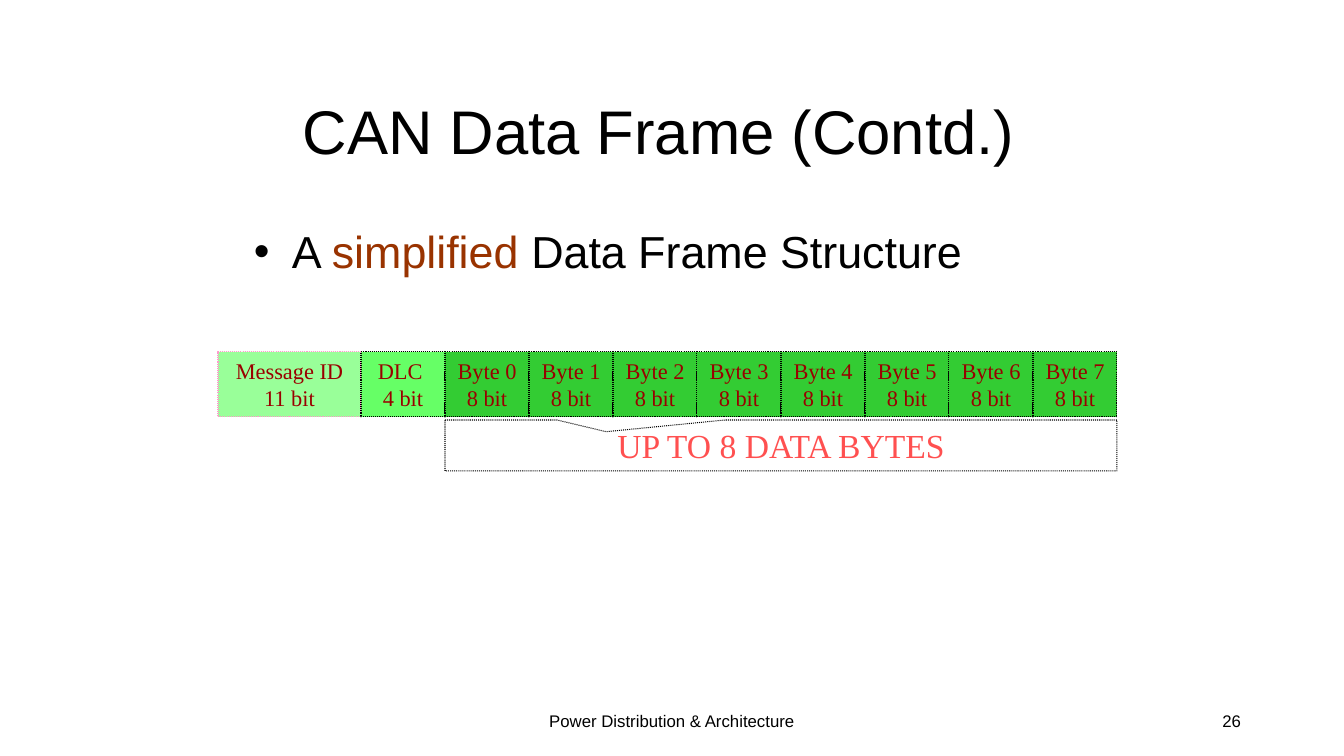
from lxml import etree
from pptx import Presentation
from pptx.dml.color import RGBColor
from pptx.enum.dml import MSO_LINE
from pptx.enum.shapes import MSO_SHAPE
from pptx.enum.text import MSO_ANCHOR, MSO_AUTO_SIZE, PP_ALIGN
from pptx.oxml.ns import qn
from pptx.util import Emu, Pt

BLACK = RGBColor(0x00, 0x00, 0x00)
BROWN = RGBColor(0x99, 0x33, 0x00)
DARK_RED = RGBColor(0x99, 0x00, 0x00)
CORAL = RGBColor(0xFF, 0x50, 0x50)
PINK = RGBColor(0xFF, 0x99, 0xCC)
PALE_GREEN = RGBColor(0x99, 0xFF, 0x99)
LIGHT_GREEN = RGBColor(0x66, 0xFF, 0x66)
GREEN = RGBColor(0x33, 0xCC, 0x33)
SANS, SERIF = "Arial", "Times New Roman"

TITLE = "CAN Data Frame (Contd.)"
BULLET = [("A ", BLACK), ("simplified ", BROWN), ("Data Frame Structure", BLACK)]
FOOTER, PAGE = "Power Distribution & Architecture", "26"
DATA_NOTE = "UP TO 8 DATA BYTES"
BYTE_WIDTH, BYTE_COUNT = 84, 8
# text, width, fill, line
FIELDS = [
    ("Message ID 11 bit", 143, PALE_GREEN, PINK),
    ("DLC \v4 bit", BYTE_WIDTH, LIGHT_GREEN, BLACK),
] + [(f"Byte {n} 8 bit", BYTE_WIDTH, GREEN, BLACK) for n in range(BYTE_COUNT)]

FRAME_LEFT, FRAME_TOP, FIELD_HEIGHT = 218, 352, 65
NOTE_TOP, NOTE_HEIGHT = 420, 51
BULLET_INDENT = 38
EMU_PER_PX = 914400 / 100.8


def px(length):
    return Emu(round(length * EMU_PER_PX))


def style(paragraph, size, font, color, align):
    paragraph.alignment = align
    for run in paragraph.runs:
        run.font.size = Pt(size)
        run.font.name = font
        run.font.color.rgb = color


def add_text(slide, box, text, size, align, anchor=MSO_ANCHOR.MIDDLE):
    frame = slide.shapes.add_textbox(*map(px, box)).text_frame
    frame.word_wrap = True
    frame.vertical_anchor = anchor
    frame.text = text
    style(frame.paragraphs[0], size, SANS, BLACK, align)
    return frame


def add_field(slide, preset, box, text, size, color, fill, line):
    """Add a dotted-outline shape; no fill when fill is None."""
    field = slide.shapes.add_shape(preset, *map(px, box))
    field.shadow.inherit = False
    if fill is None:
        field.fill.background()
    else:
        field.fill.solid()
        field.fill.fore_color.rgb = fill
    field.line.color.rgb = line
    field.line.width = Pt(0.75)
    field.line.dash_style = MSO_LINE.ROUND_DOT
    frame = field.text_frame
    frame.word_wrap = True
    frame.vertical_anchor = MSO_ANCHOR.TOP
    frame.text = text
    style(frame.paragraphs[0], size, SERIF, color, PP_ALIGN.CENTER)
    return field


def add_bullet(slide, box):
    frame = add_text(slide, box, "", 32, PP_ALIGN.LEFT, MSO_ANCHOR.TOP)
    paragraph = frame.paragraphs[0]
    properties = paragraph._p.get_or_add_pPr()
    properties.set("marL", str(px(BULLET_INDENT)))
    properties.set("indent", str(-px(BULLET_INDENT)))
    etree.SubElement(properties, qn("a:buFont")).set("typeface", SANS)
    etree.SubElement(properties, qn("a:buChar")).set("char", "•")
    for text, color in BULLET:
        run = paragraph.add_run()
        run.text = text
        run.font.size = Pt(32)
        run.font.name = SANS
        run.font.color.rgb = color


def add_title(slide):
    title = slide.shapes.title
    title.left, title.top, title.width, title.height = map(px, (218, 67, 882, 126))
    frame = title.text_frame
    frame.text = TITLE
    frame.word_wrap = True
    frame.auto_size = MSO_AUTO_SIZE.NONE
    frame.vertical_anchor = MSO_ANCHOR.MIDDLE
    style(frame.paragraphs[0], 44, SANS, BLACK, PP_ALIGN.CENTER)


def add_data_frame(slide):
    left = FRAME_LEFT
    for text, width, fill, line in FIELDS:
        add_field(slide, MSO_SHAPE.RECTANGLE, (left, FRAME_TOP, width, FIELD_HEIGHT),
                  text, 16, DARK_RED, fill, line)
        left += width
    note_width = BYTE_WIDTH * BYTE_COUNT
    note = add_field(slide, MSO_SHAPE.RECTANGULAR_CALLOUT,
                     (left - note_width, NOTE_TOP, note_width, NOTE_HEIGHT),
                     DATA_NOTE, 24, CORAL, None, BLACK)
    note.adjustments[0], note.adjustments[1] = -0.26, -0.27


def main():
    deck = Presentation()
    deck.slide_width, deck.slide_height = px(1344), px(756)
    slide = deck.slides.add_slide(deck.slide_layouts[5])
    add_title(slide)
    add_text(slide, (445, 701, 454, 40), FOOTER, 12, PP_ALIGN.CENTER)
    add_text(slide, (949, 701, 302, 40), PAGE, 12, PP_ALIGN.RIGHT)
    add_bullet(slide, (244, 219, 857, 454))
    add_data_frame(slide)
    deck.save("out.pptx")


if __name__ == "__main__":
    main()
